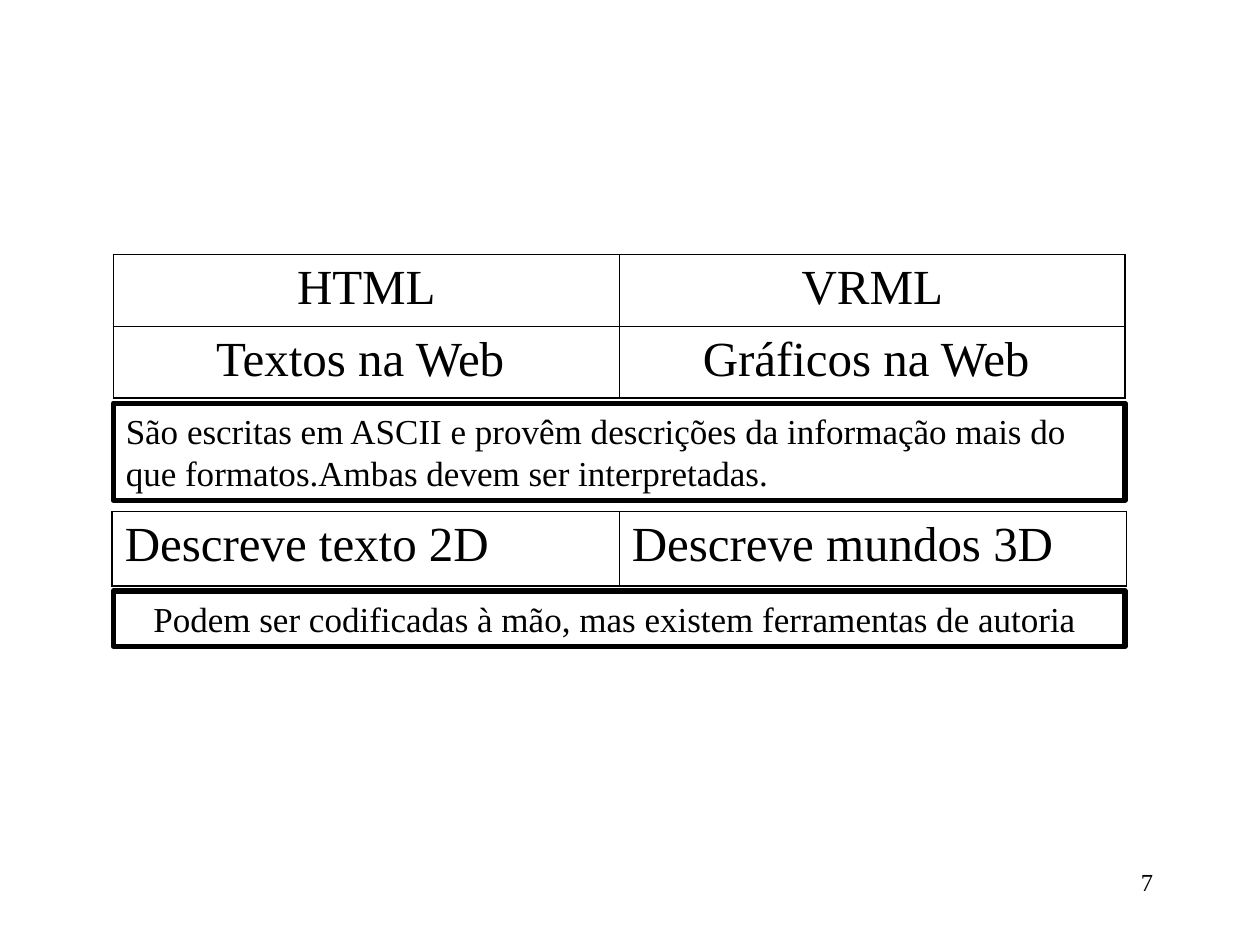
from lxml import etree
from pptx import Presentation
from pptx.dml.color import RGBColor
from pptx.enum.shapes import MSO_SHAPE
from pptx.enum.text import MSO_ANCHOR, MSO_AUTO_SIZE, PP_ALIGN
from pptx.oxml.ns import qn
from pptx.util import Inches, Pt

RECT = MSO_SHAPE.RECTANGLE
TOP = MSO_ANCHOR.TOP
GROW = MSO_AUTO_SIZE.SHAPE_TO_FIT_TEXT
LEFT, MID, RIGHT = PP_ALIGN.LEFT, PP_ALIGN.CENTER, PP_ALIGN.RIGHT

FONT = "Times New Roman"
HUES = {"ink": "000000"}
EDGE, WIDE = 0.9, 8.03      # shared left edge and width of the stack
THICK, THIN = 1.08, 0.45    # outer and inner table rules, in points


def write(frame, text, size=20, align=LEFT):
    """Put one formatted paragraph in a text frame."""
    frame.word_wrap = True
    para = frame.paragraphs[0]
    para.text = text
    para.alignment = align
    font = para.font
    font.name, font.size = FONT, Pt(size)
    font.color.rgb = RGBColor.from_string(HUES["ink"])


def rule(cell, side, width):
    """Draw one border of a cell."""
    line = etree.SubElement(cell._tc.get_or_add_tcPr(), qn("a:ln" + side),
                            w=str(int(Pt(width))))
    fill = etree.SubElement(line, qn("a:solidFill"))
    etree.SubElement(fill, qn("a:srgbClr"), val=HUES["ink"])


def add_grid(slide, rows, left, top, wide, high, align):
    """Add a table with thick outer and thin inner rules."""
    down, across = len(rows), len(rows[0])
    table = slide.shapes.add_table(down, across, Inches(left), Inches(top),
                                   Inches(wide), Inches(high * down)).table
    table.first_row = table.horz_banding = False
    for r, row in enumerate(rows):
        for c, text in enumerate(row):
            cell = table.cell(r, c)
            outer = {"L": c == 0, "R": c == across - 1,
                     "T": r == 0, "B": r == down - 1}
            for side, rim in outer.items():
                rule(cell, side, THICK if rim else THIN)
            cell.fill.background()
            write(cell.text_frame, text, size=28, align=align)


def add_box(slide, text, top, high, align=LEFT):
    """Add a heavy framed box that spans both columns."""
    box = slide.shapes.add_shape(RECT, Inches(EDGE), Inches(top),
                                 Inches(WIDE), Inches(high))
    box.shadow.inherit = False
    box.fill.background()
    box.line.color.rgb = RGBColor.from_string(HUES["ink"])
    box.line.width = Pt(3)
    frame = box.text_frame
    frame.vertical_anchor = TOP
    write(frame, text, align=align)
    frame.auto_size = GROW


def main():
    deck = Presentation()
    deck.slide_width, deck.slide_height = Inches(10), Inches(7.5)
    slide = deck.slides.add_slide(deck.slide_layouts[6])

    # Languages and their use
    add_grid(slide, [["HTML", "VRML"], ["Textos na Web ", "Gráficos na Web "]],
             EDGE, 2.02, WIDE, 0.57, MID)
    add_box(slide, "São escritas em ASCII e provêm descrições da informação "
            "mais do que formatos.Ambas devem ser interpretadas.", 3.2, 0.77)

    # What each one describes
    add_grid(slide, [["Descreve texto 2D", "Descreve mundos 3D"]],
             0.89, 4.06, 8.05, 0.59, LEFT)
    add_box(slide, "Podem ser codificadas à mão, mas existem ferramentas "
            "de autoria ", 4.69, 0.44, MID)

    # Page number
    page = slide.shapes.add_textbox(Inches(7.17), Inches(6.83),
                                    Inches(2.08), Inches(0.5))
    write(page.text_frame, "7", size=14, align=RIGHT)

    deck.save("out.pptx")


if __name__ == "__main__":
    main()
